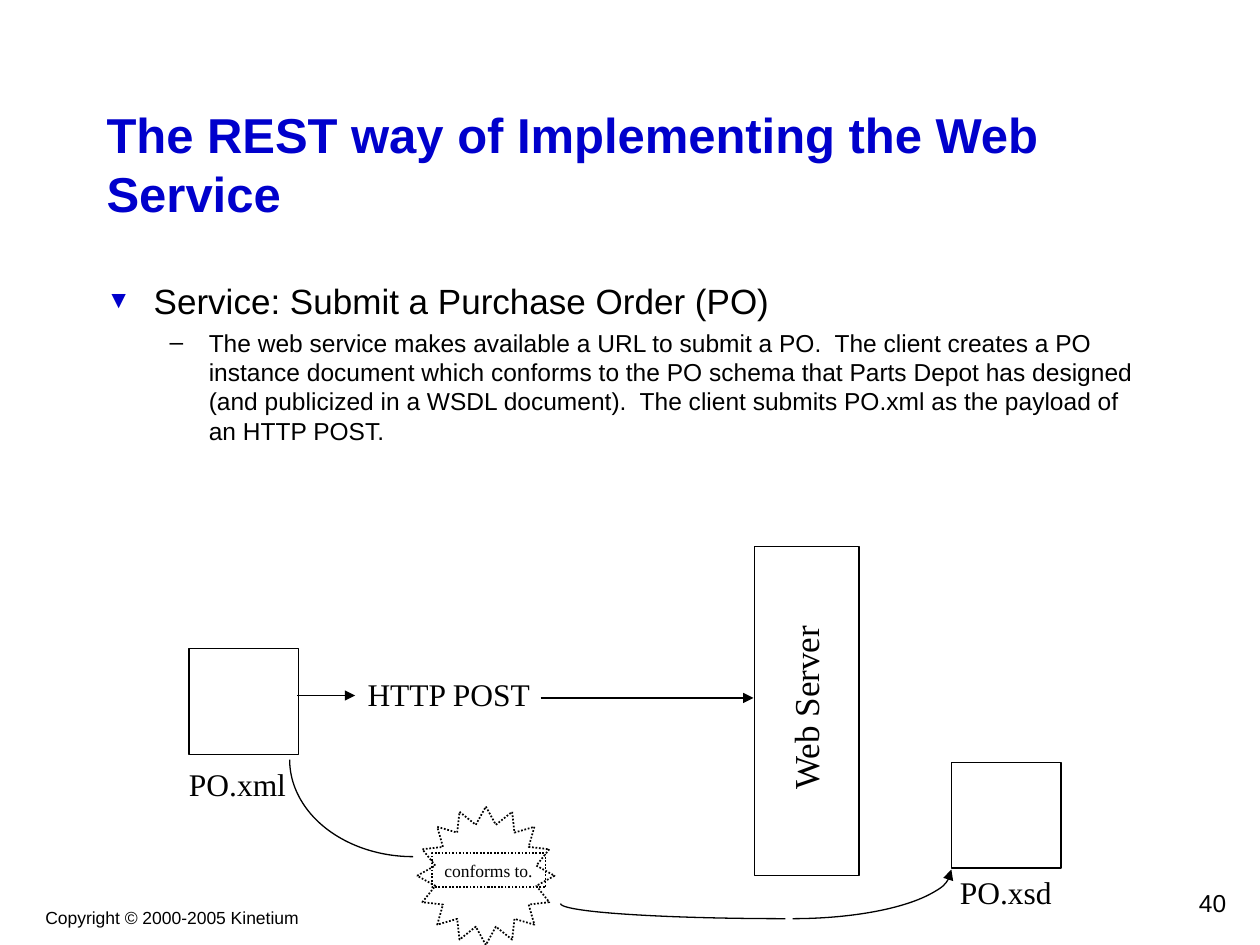
from lxml import etree
from pptx import Presentation
from pptx import util as u
from pptx.dml.color import RGBColor
from pptx.enum import dml, shapes, text
from pptx.oxml.ns import qn

COLORS = {"ink": "000000", "title": "0000CC", "paper": "FFFFFF"}
SANS, SERIF = "Arial", "Times New Roman"
ICON = (2.21, 2.13)  # size of a document box, in cm


def rgb(name):
    return RGBColor.from_string(COLORS[name])


def place(box, x, y, w, h):
    """Lengths in cm, relative to the corner of the box."""
    return u.Cm(box[0] + x), u.Cm(box[1] + y), u.Cm(w), u.Cm(h)


def write(paragraph, words, size, font=SANS, color="ink", bold=False):
    run = paragraph.add_run()
    run.text = words
    run.font.size, run.font.name, run.font.bold = u.Pt(size), font, bold
    run.font.color.rgb = rgb(color)


def add_label(slide, area, words, size, font=SERIF, color="ink", bold=False,
              align=text.PP_ALIGN.LEFT, wrap=False):
    label = slide.shapes.add_textbox(*area)
    label.text_frame.word_wrap = wrap
    paragraph = label.text_frame.paragraphs[0]
    paragraph.alignment = align
    write(paragraph, words, size, font, color, bold)
    return label


def style_line(line, width=0.75, arrow_at=None):
    line.color.rgb = rgb("ink")
    line.width = u.Pt(width)
    if arrow_at:
        ln = line._get_or_add_ln()
        etree.SubElement(ln, qn(f"a:{arrow_at}End"), type="triangle")


def add_outline(slide, kind, area, width=0.75, filled=True, dotted=False):
    outline = slide.shapes.add_shape(kind, *area)
    outline.shadow.inherit = False
    if filled:
        outline.fill.solid()
        outline.fill.fore_color.rgb = rgb("paper")
    else:
        outline.fill.background()
    style_line(outline.line, width)
    if dotted:
        outline.line.dash_style = dml.MSO_LINE.ROUND_DOT
    return outline


def add_arc(slide, area, start, end, arrow_at=None):
    """Clockwise arc between two angles in degrees."""
    arc = add_outline(slide, shapes.MSO_SHAPE.ARC, area, filled=False)
    for i, degrees in enumerate((start, end)):
        arc.adjustments[i] = degrees * 0.6  # 60000 units a degree, over 100000
    style_line(arc.line, arrow_at=arrow_at)


def add_arrow(slide, box, x1, x2, y):
    left, top, length, _ = place(box, x1, y, x2 - x1, 0)
    arrow = slide.shapes.add_connector(
        shapes.MSO_CONNECTOR.STRAIGHT, left, top, left + length, top)
    style_line(arrow.line, arrow_at="tail")
    etree.SubElement(arrow._element.spPr, qn("a:effectLst"))


def add_bullet(paragraph, mark, left, hang, color, percent=100):
    props = paragraph._p.get_or_add_pPr()
    props.set("marL", str(u.Cm(left)))
    props.set("indent", str(-u.Cm(hang)))
    bullet_color = etree.SubElement(props, qn("a:buClr"))
    etree.SubElement(bullet_color, qn("a:srgbClr"), val=COLORS[color])
    etree.SubElement(props, qn("a:buSzPct"), val=str(percent * 1000))
    etree.SubElement(props, qn("a:buFont"), typeface=SANS)
    etree.SubElement(props, qn("a:buChar"), char=mark)


def build_title(slide, box):
    title = add_label(slide, place(box, 0, 0, 21.59, 3.18),
                      "The REST way of Implementing the Web Service",
                      28, SANS, "title", bold=True, wrap=True)
    title.text_frame.vertical_anchor = text.MSO_ANCHOR.MIDDLE


def build_body(slide, box):
    frame = slide.shapes.add_textbox(*place(box, 0, 0, 21.59, 6.02)).text_frame
    frame.word_wrap = True
    service = frame.paragraphs[0]
    add_bullet(service, "▼", 0.95, 0.95, "title", 70)
    write(service, "Service: Submit a Purchase Order (PO)", 20)
    detail = frame.add_paragraph()
    detail.level = 1
    detail.space_before = u.Pt(3.5)
    add_bullet(detail, "–", 2.06, 0.79, "ink")
    write(detail, "The web service makes available a URL to submit a PO.  The client "
          "creates a PO instance document which conforms to the PO schema that Parts "
          "Depot has designed (and publicized in a WSDL document).  The client submits "
          "PO.xml as the payload of an HTTP POST.", 14)


def build_diagram(slide, box):
    rect = shapes.MSO_SHAPE.RECTANGLE

    # Web server
    add_outline(slide, rect, place(box, 11.71, 0.02, 2.11, 6.63), 1)
    server = add_label(slide, place(box, 10.55, 2.94, 4.39, 1.12), "Web Server", 20)
    server.rotation = 270
    server.text_frame.word_wrap = True
    server.text_frame.margin_left = u.Cm(0.78)
    server.text_frame.margin_right = 0

    # Documents and the request between client and server
    for x, y in ((15.68, 4.37), (0.31, 2.08)):
        add_outline(slide, rect, place(box, x, y, *ICON))
    for words, x, y, width in (("PO.xsd", 15.6, 6.48, 2.36),
                               ("PO.xml", 0.06, 4.29, 2.46),
                               ("HTTP POST", 3.66, 2.49, 3.81)):
        add_label(slide, place(box, x, y, width, 1.02), words, 18)
    add_arrow(slide, box, 2.49, 3.66, 3.02)
    add_arrow(slide, box, 7.4, 11.69, 3.07)

    # Conformance burst
    add_outline(slide, shapes.MSO_SHAPE.STAR_16_POINT,
                place(box, 4.91, 5.26, 2.77, 2.79), 1, dotted=True)
    conforms = add_outline(slide, rect, place(box, 5.21, 6.2, 2.29, 0.69), 1,
                           filled=False, dotted=True)
    conforms.text_frame.word_wrap = False
    conforms.text_frame.paragraphs[0].alignment = text.PP_ALIGN.LEFT
    write(conforms.text_frame.paragraphs[0], "conforms to.", 10, SERIF)

    # Curve from PO.xml through the burst to PO.xsd
    add_arc(slide, place(box, 2.34, 2.36, 4.98, 3.91), 90, 180)
    add_arc(slide, place(box, 9.28, 5.54, 6.4, 1.98), 0, 90, arrow_at="head")
    add_arc(slide, place(box, 7.8, 6.91, 9.07, 0.61), 90, 180)


def build_footer(slide, box):
    add_label(slide, place(box, 0, 0.38, 5.61, 0.69), "Copyright © 2000-2005 Kinetium",
              10, SANS, align=text.PP_ALIGN.CENTER)
    add_label(slide, place(box, 19.03, 0, 5.28, 0.84), "40", 14, SANS,
              align=text.PP_ALIGN.RIGHT, wrap=True)


def main():
    deck = Presentation()
    deck.slide_width, deck.slide_height = u.Cm(25.4), u.Cm(19.05)
    slide = deck.slides.add_slide(deck.slide_layouts[6])
    build_title(slide, (1.9, 1.7))
    build_body(slide, (1.9, 5.51))
    build_diagram(slide, (3.5, 11))
    build_footer(slide, (0.66, 17.78))
    deck.save("out.pptx")


if __name__ == "__main__":
    main()
